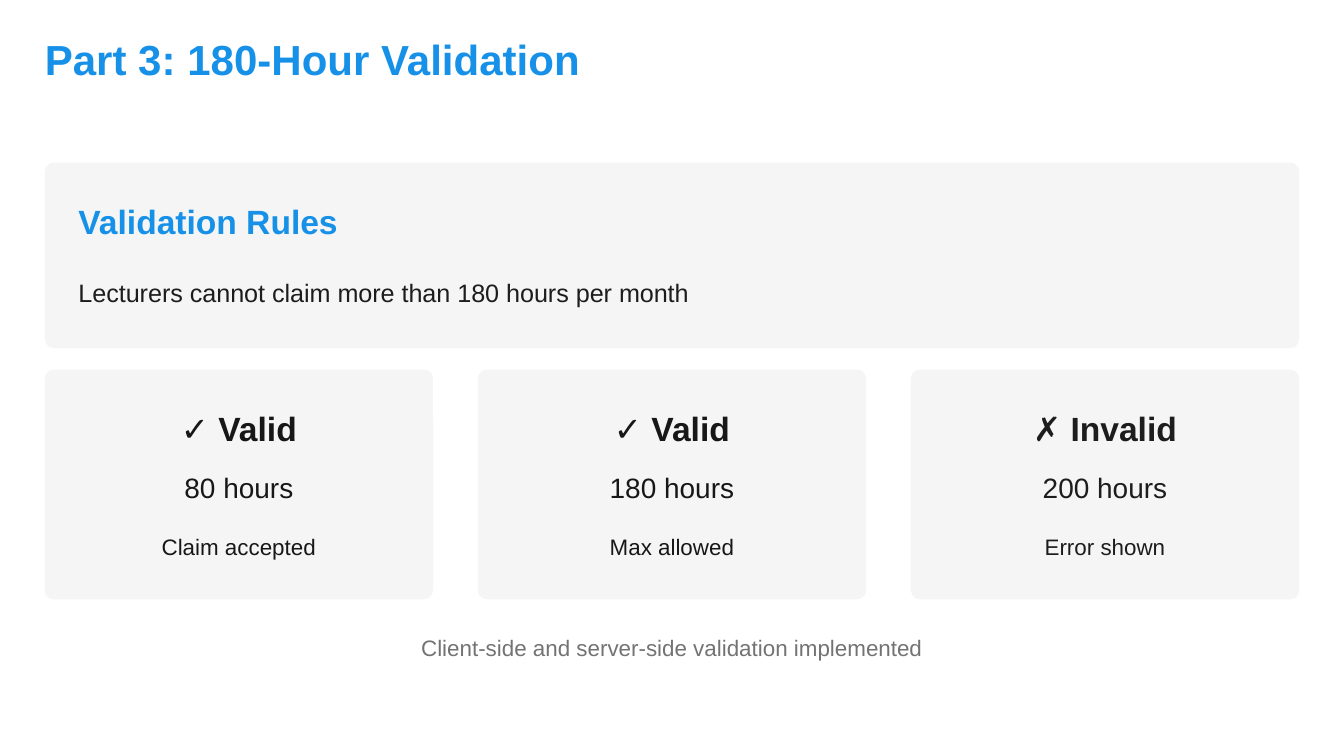
import pptx
import pptx.dml.color
import pptx.enum.shapes
import pptx.enum.text
import pptx.util

Inches, Pt = pptx.util.Inches, pptx.util.Pt
ALIGN = pptx.enum.text.PP_ALIGN

TITLE = "Part 3: 180-Hour Validation"
RULES_HEADING = "Validation Rules"
RULES_TEXT = "Lecturers cannot claim more than 180 hours per month"
CASES = [
    ("✓ Valid", "80 hours", "Claim accepted", "ink"),
    ("✓ Valid", "180 hours", "Max allowed", "ink"),
    ("✗ Invalid", "200 hours", "Error shown", "soft_ink"),
]
FOOTNOTE = "Client-side and server-side validation implemented"

THEME = {
    "font": "Arial",
    "colors": {"accent": "1791E8", "panel": "F5F5F5", "ink": "171717",
               "soft_ink": "1D1D1D", "muted": "737373"},
    # style: (size, line spacing, space before and after, bold), in points
    "styles": {"title": (22.5, 27, 0, True), "heading": (18, 24, 0, True),
               "body": (13.5, 21, 3, False), "value": (15, 21, 3, False),
               "small": (12, 18, 3, False)},
}

SLIDE_W = 10
SLIDE_H = SLIDE_W * 9 / 16
MARGIN = 1 / 3
CONTENT_W = SLIDE_W - 2 * MARGIN
RULES_PAD = 0.25
CARD_GAP = MARGIN
CARD_W = (CONTENT_W - CARD_GAP * (len(CASES) - 1)) / len(CASES)
CARD_TOP, CARD_H = 2.75, 1.71
CARD_PAD = 0.22
CARD_ROWS = [("heading", 3), ("value", 3.46), ("small", 3.92)]
CORNER = MARGIN / 5


def color(name):
    return pptx.dml.color.RGBColor.from_string(THEME["colors"][name])


def add_panel(slide, x, y, w, h):
    sp = slide.shapes.add_shape(
        pptx.enum.shapes.MSO_SHAPE.ROUNDED_RECTANGLE,
        Inches(x), Inches(y), Inches(w), Inches(h))
    sp.adjustments[0] = CORNER / min(w, h)
    sp.shadow.inherit = False
    sp.fill.solid()
    sp.fill.fore_color.rgb = color("panel")
    sp.line.fill.background()


def add_text(slide, text, style, ink, x, y, w, align=ALIGN.LEFT):
    """Add one line of text in a box as tall as its line spacing."""
    size, leading, gap, bold = THEME["styles"][style]
    box = slide.shapes.add_textbox(Inches(x), Inches(y), Inches(w), Pt(leading))
    tf = box.text_frame
    tf.word_wrap = True
    tf.margin_left = tf.margin_top = tf.margin_right = tf.margin_bottom = 0
    p = tf.paragraphs[0]
    p.alignment = align
    p.line_spacing = Pt(leading)
    p.space_before = p.space_after = Pt(gap)
    r = p.add_run()
    r.text = text
    r.font.name = THEME["font"]
    r.font.size = Pt(size)
    r.font.bold = bold
    r.font.color.rgb = color(ink)


def main():
    prs = pptx.Presentation()
    prs.slide_width, prs.slide_height = Inches(SLIDE_W), Inches(SLIDE_H)
    s = prs.slides.add_slide(prs.slide_layouts[6])

    add_text(s, TITLE, "title", "accent", MARGIN, 0.25, 4.77)

    add_panel(s, MARGIN, 1.21, CONTENT_W, 1.38)
    rules_x = MARGIN + RULES_PAD
    add_text(s, RULES_HEADING, "heading", "accent", rules_x, 1.46, 9.01)
    add_text(s, RULES_TEXT, "body", "soft_ink", rules_x, 2, 9.01)

    for i, (*lines, ink) in enumerate(CASES):
        x = MARGIN + i * (CARD_W + CARD_GAP)
        add_panel(s, x, CARD_TOP, CARD_W, CARD_H)
        for text, (style, y) in zip(lines, CARD_ROWS):
            add_text(s, text, style, ink, x + CARD_PAD, y,
                     CARD_W - 2 * CARD_PAD, ALIGN.CENTER)

    add_text(s, FOOTNOTE, "small", "muted", 0.24, 4.67, 9.52, ALIGN.CENTER)
    prs.save("out.pptx")


if __name__ == "__main__":
    main()
